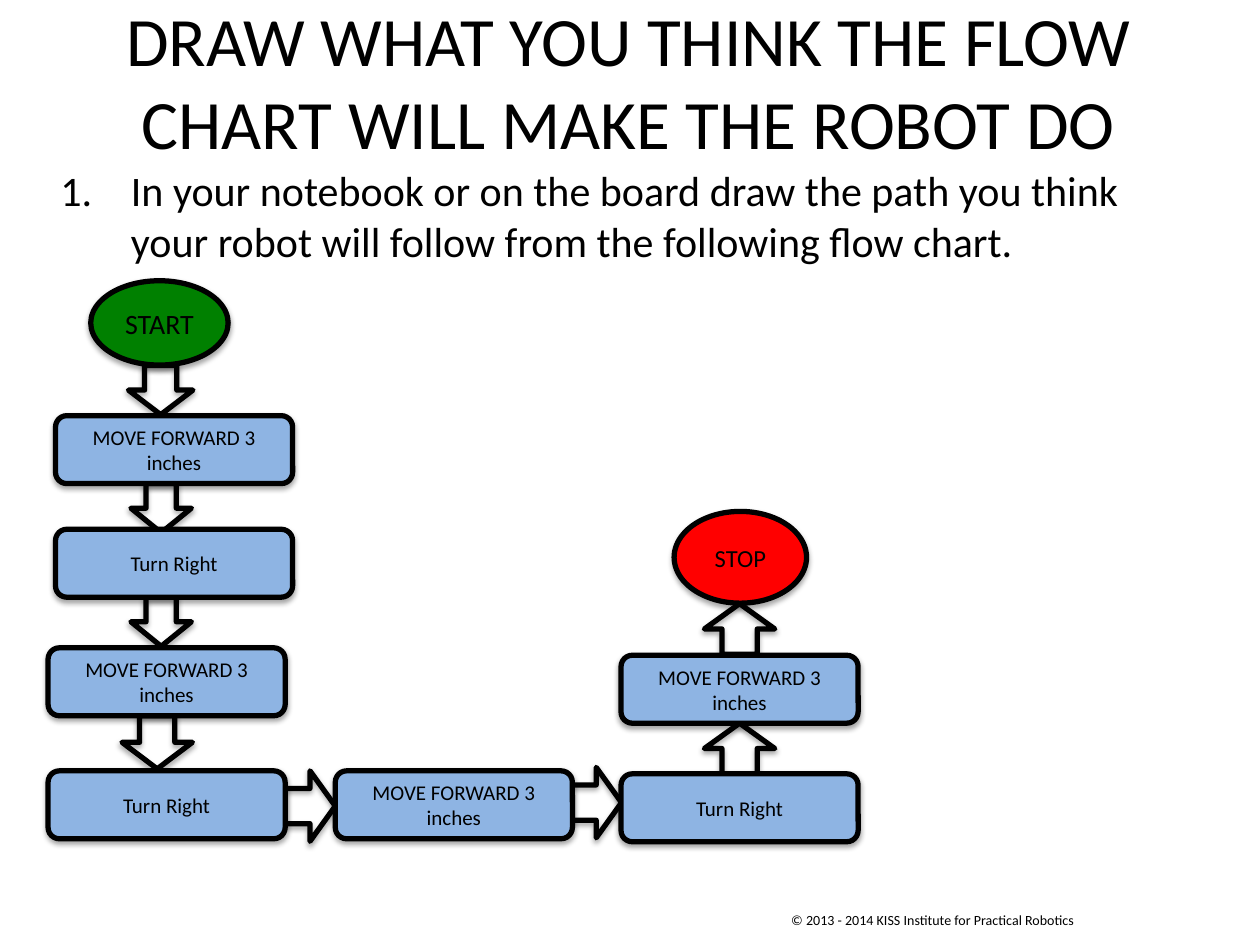
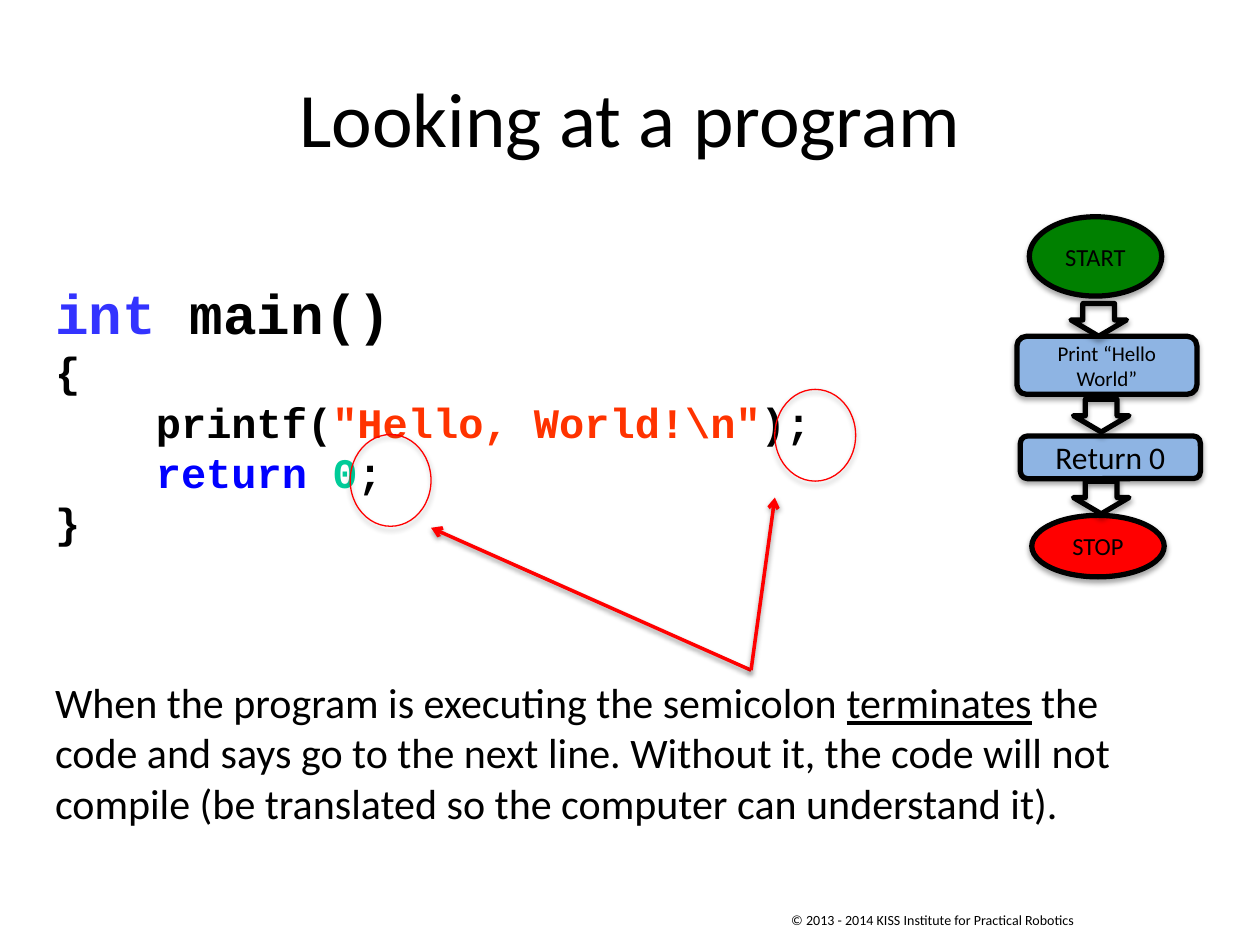
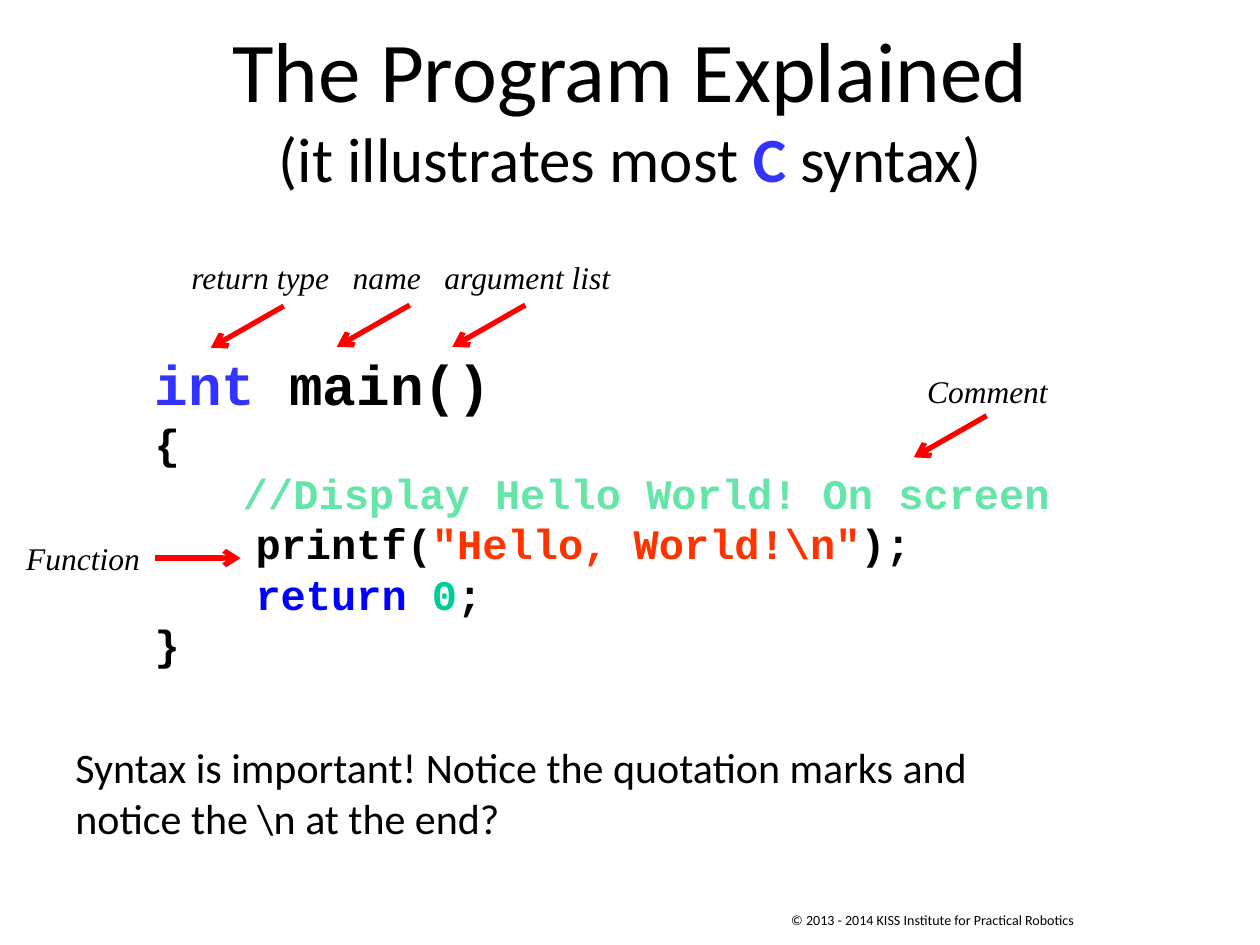
from lxml import etree
from pptx import Presentation
from pptx import util as u
from pptx.dml.color import RGBColor
from pptx.enum import shapes, text
from pptx.oxml.ns import qn

Cm, Pt = u.Cm, u.Pt
KIND = shapes.MSO_SHAPE
COLORS = {
    "black": "000000", "red": "FF0000", "green": "008000", "step": "8EB4E3",
    "type": "3333FF", "keyword": "0000FF", "string": "FF3300",
    "number": "00CC99", "comment": "65E6A8",
}
BODY = {"name": "Calibri", "size": 24, "color": "black"}
CODE = {"name": "Courier New", "size": 24, "bold": True, "color": "black"}
NOTE = {"name": "Times New Roman", "size": 18, "italic": True, "color": "black"}
FOOTER = "© 2013 - 2014 KISS Institute for Practical Robotics"
FORWARD, TURN = "MOVE FORWARD 3 inches", "Turn Right"

# Code lines used on two slides
MAIN = [[("int ", {"color": "type", "size": 32}), ("main()", {"size": 32})], [("{", {})]]
STATEMENTS = [
    [("    printf(", {}), (r'"Hello, World!\n"', {"color": "string"}), (");", {})],
    [("    ", {}), ("return ", {"color": "keyword"}), ("0", {"color": "number"}), (";", {})],
    [("}", {})],
]


def rgb(name):
    return RGBColor.from_string(COLORS[name])


class Pages:
    """Holds the deck, its style and the current slide."""

    def __init__(self):
        self.deck = Presentation()
        self.deck.slide_width, self.deck.slide_height = Cm(25.4), Cm(19.05)
        self.page = None

    def start(self, title, left, top, anchor=text.MSO_ANCHOR.MIDDLE):
        """Adds a slide with its footer and title."""
        self.page = self.deck.slides.add_slide(self.deck.slide_layouts[5])
        self.text([[(FOOTER, {"size": 8})]], 15.7, 18.26, 6.32, 0.61, wrap=False)
        box = self.page.shapes.title
        box.left, box.top, box.width, box.height = Cm(left), Cm(top), Cm(22.86), Cm(3.18)
        self.paragraphs(box.text_frame, [title], BODY, anchor, text.PP_ALIGN.CENTER)

    def paragraphs(self, frame, lines, style, anchor=text.MSO_ANCHOR.TOP,
                   align=text.PP_ALIGN.LEFT, wrap=True, tabs=(), numbered=False):
        """Fills a frame with paragraphs, each a list of (words, changes)."""
        settings = {"word_wrap": wrap, "vertical_anchor": anchor,
                    "auto_size": text.MSO_AUTO_SIZE.NONE}
        for key, value in settings.items():
            setattr(frame, key, value)
        for index, line in enumerate(lines):
            para = frame.add_paragraph() if index else frame.paragraphs[0]
            para.alignment = align
            props = para._p.get_or_add_pPr()
            if numbered:
                props.set("marL", str(Cm(1.42)))
                props.set("indent", str(-Cm(1.42)))
                etree.SubElement(props, qn("a:buAutoNum"), type="arabicPeriod")
            if tabs:
                stops = etree.SubElement(props, qn("a:tabLst"))
                for stop in tabs:
                    etree.SubElement(stops, qn("a:tab"), pos=str(Cm(stop)), algn="l")
            for words, changes in line:
                if words == "\n":
                    para.add_line_break()
                else:
                    self.span(para, words, {**style, **changes})

    def span(self, para, words, style):
        span = para.add_run()
        span.text = words
        for key, value in style.items():
            if key == "color":
                span.font.color.rgb = rgb(value)
            else:
                setattr(span.font, key, Pt(value) if key == "size" else value)

    def text(self, lines, left, top, width, height, style=BODY, **options):
        box = self.page.shapes.add_textbox(Cm(left), Cm(top), Cm(width), Cm(height))
        self.paragraphs(box.text_frame, lines, style, **options)

    def shadow(self, shape, blur=3.1, distance=1.8, opacity=35):
        effects = shape._element.spPr.find(qn("a:effectLst"))
        outer = etree.SubElement(effects, qn("a:outerShdw"), blurRad=str(Pt(blur)),
                                 dist=str(Pt(distance)), dir="5400000", rotWithShape="0")
        color = etree.SubElement(outer, qn("a:srgbClr"), val=COLORS["black"])
        etree.SubElement(color, qn("a:alpha"), val=str(opacity * 1000))

    def shape(self, kind, left, top, width, height, fill=None, label="", size=12,
              line="black", weight=3):
        shape = self.page.shapes.add_shape(kind, Cm(left), Cm(top), Cm(width), Cm(height))
        if fill:
            shape.fill.solid()
            shape.fill.fore_color.rgb = rgb(fill)
        else:
            shape.fill.background()
        shape.line.color.rgb = rgb(line)
        shape.line.width = Pt(weight)
        shape.shadow.inherit = False
        self.shadow(shape)
        if label:
            self.paragraphs(shape.text_frame, [[(label, {"size": size})]], BODY,
                            text.MSO_ANCHOR.MIDDLE, text.PP_ALIGN.CENTER)
        return shape

    def step(self, label, left, top, width=4.78, height=1.37, size=12):
        self.shape(KIND.ROUNDED_RECTANGLE, left, top, width, height, "step", label, size)

    def pointer(self, begin, end, weight=3, shadow=False):
        """Draws a red line with an arrowhead at its end."""
        line = self.page.shapes.add_connector(
            shapes.MSO_CONNECTOR.STRAIGHT, *(Cm(value) for value in (*begin, *end)))
        line.line.color.rgb = rgb("red")
        line.line.width = Pt(weight)
        etree.SubElement(line.line._get_or_add_ln(), qn("a:tailEnd"), type="arrow")
        etree.SubElement(line._element.spPr, qn("a:effectLst"))
        if shadow:
            self.shadow(line, distance=1.6, opacity=38)


def flow_chart(pages):
    pages.start([("DRAW WHAT YOU THINK THE FLOW CHART WILL MAKE THE ROBOT DO",
                  {"size": 39.6})], 1.24, 0.03)
    pages.text([[("In your notebook or on the board draw the path you think your robot "
                  "will follow from the following flow chart.", {})]],
               0.97, 3.2, 22.86, 12.57, numbered=True)
    # Block arrows lie under the steps
    for kind, left, top, width, height in (
            (KIND.DOWN_ARROW, 2.59, 7.37, 1.3, 0.99),
            (KIND.DOWN_ARROW, 2.64, 9.75, 1.22, 0.99),
            (KIND.DOWN_ARROW, 2.64, 12.04, 1.22, 0.99),
            (KIND.DOWN_ARROW, 2.46, 14.43, 1.42, 1.07),
            (KIND.RIGHT_ARROW, 5.74, 15.54, 1.02, 1.42),
            (KIND.RIGHT_ARROW, 11.51, 15.47, 1.02, 1.42),
            (KIND.UP_ARROW, 14.2, 14.58, 1.42, 1.02),
            (KIND.UP_ARROW, 14.2, 12.17, 1.42, 1.02)):
        pages.shape(kind, left, top, width, height)
    # Steps alternate between moving and turning
    places = ((1.12, 8.38), (1.12, 10.67), (0.97, 13.06), (0.97, 15.54),
              (6.76, 15.54), (12.52, 15.6), (12.52, 13.21))
    for index, (left, top) in enumerate(places):
        pages.step(TURN if index % 2 else FORWARD, left, top)
    pages.shape(KIND.OVAL, 1.83, 5.66, 2.77, 1.7, "green", "START", 16)
    pages.shape(KIND.OVAL, 13.59, 10.31, 2.67, 1.85, "red", "STOP", 14)


def program(pages):
    pages.start([("Looking at a program", {"size": 44})], 1.27, 0.76)
    pages.text([[("When the program is executing the semicolon ", {}),
                 ("terminates", {"underline": True}),
                 (" the code and says go to the next line. Without it, the code will not "
                  "compile (be translated so the computer can understand it).", {})]],
               0.86, 13.51, 22.86, 3.33)
    pages.text(MAIN + STATEMENTS, 0.86, 5.49, 18.92, 5.74, CODE)
    # Semicolons circled and pointed at
    for left, top, tip in ((7.06, 8.76, (8.69, 10.64)), (15.62, 7.85, (15.62, 10.03))):
        pages.shape(KIND.OVAL, left, top, 1.63, 1.85, line="red", weight=0.75)
        pages.pointer((15.14, 13.51), tip, 2, shadow=True)
    # Small flow chart
    pages.shape(KIND.OVAL, 20.8, 10.39, 2.67, 1.24, "red", "STOP", 14)
    pages.shape(KIND.OVAL, 20.75, 4.37, 2.67, 1.6, "green", "START", 14)
    pages.step("Return 0", 20.57, 8.79, 3.63, 0.86, 18)
    pages.step("Print “Hello World”", 20.5, 6.78, 3.63, 1.17)
    for left, top in ((21.59, 6.12), (21.64, 8.05), (21.64, 9.7)):
        arrow = pages.shape(KIND.DOWN_ARROW, left, top, 1.12, 0.66)
        arrow.adjustments[0] = 0.57


def explanation(pages):
    pages.start([("The Program Explained", {"size": 48.6}), ("\n", {}),
                 ("(it illustrates most ", {"size": 36}),
                 ("C", {"size": 36, "color": "type", "bold": True}),
                 (" syntax)", {"size": 36})], 1.27, 0.23, text.MSO_ANCHOR.TOP)
    remark = [("\t ", {}), ("//Display Hello World! On screen", {"color": "comment"})]
    pages.text(MAIN + [remark] + STATEMENTS, 2.87, 6.93, 18.92, 6.76, CODE, tabs=(1.27,))
    # Names of the parts, with pointers
    pages.text([[("return type\tname\targument list", {})]], 3.61, 5.08, 11.86, 1.12,
               NOTE, tabs=(3.25, 5.1))
    for label, left, top in (("Comment", 18.44, 7.37), ("Function", 0.28, 10.74)):
        pages.text([[(label, {})]], left, top, 3.33, 1.02, NOTE)
    for x, y in ((5.72, 6.17), (8.26, 6.15), (10.59, 6.15), (19.89, 8.38)):
        pages.pointer((x, y), (x - 1.47, y + 0.84))
    pages.pointer((3.12, 11.25), (4.85, 11.25))
    pages.text([[("Syntax is important! Notice the quotation marks and notice the "
                  r"\n at the end?", {})]], 1.27, 14.83, 20.5, 2.31)


def main():
    pages = Pages()
    for build in (flow_chart, program, explanation):
        build(pages)
    pages.deck.save("out.pptx")


if __name__ == "__main__":
    main()
